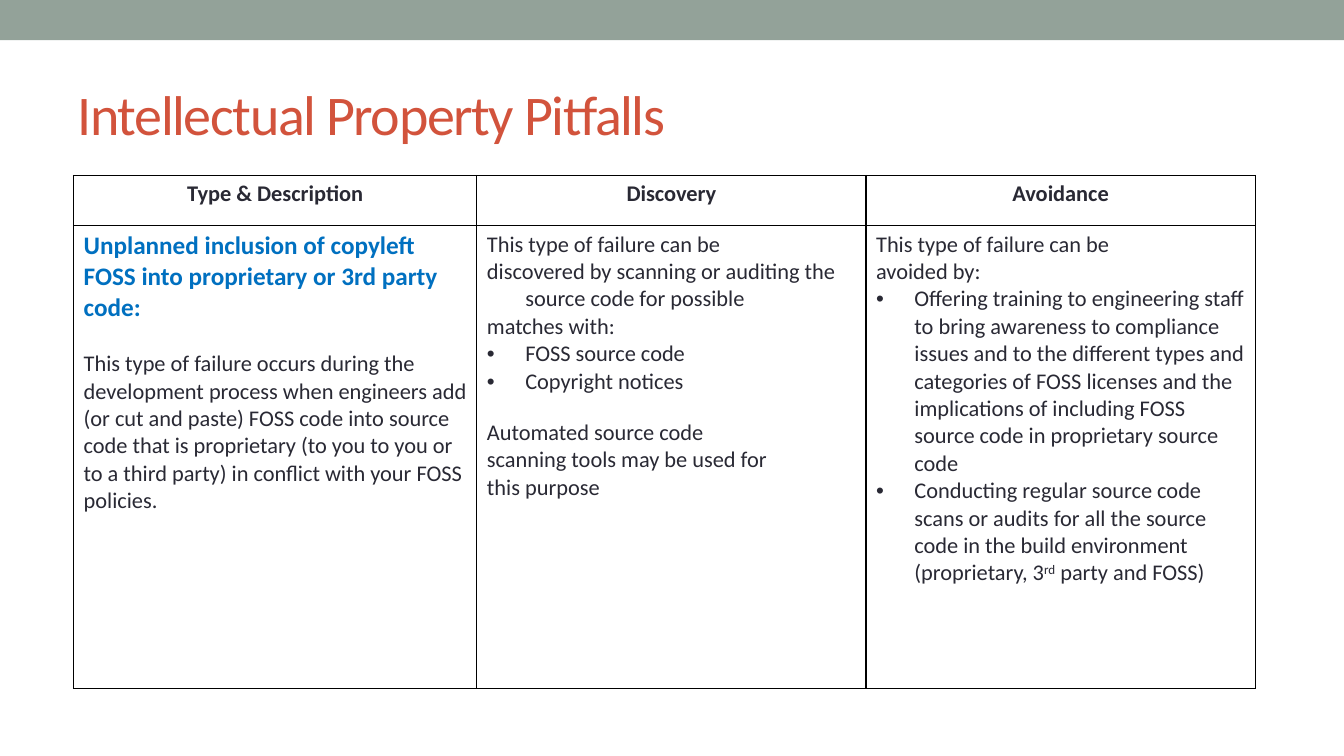
from dataclasses import dataclass

from lxml import etree
from pptx import Presentation
from pptx.dml.color import RGBColor
from pptx.enum.shapes import MSO_SHAPE
from pptx.enum.text import MSO_ANCHOR, PP_ALIGN
from pptx.oxml.ns import qn
from pptx.util import Inches, Pt

RECTANGLE = MSO_SHAPE.RECTANGLE
MIDDLE = MSO_ANCHOR.MIDDLE
LEFT, CENTER = PP_ALIGN.LEFT, PP_ALIGN.CENTER
TITLE_ONLY = 5


@dataclass(frozen=True)
class Theme:
    font: str = "Calibri"
    band: str = "93A299"
    title: str = "D2533C"
    ink: str = "292934"
    accent: str = "0070C0"
    border: str = "000000"
    title_size: int = 40
    lead_size: int = 18
    body_size: int = 16


@dataclass(frozen=True)
class Entry:
    text: str
    lead: bool = False
    bullet: bool = False
    hanging: bool = False
    gap: float = 0


class SlideBuilder:
    def __init__(self, deck, theme):
        self.theme = theme
        self.page = deck.slides.add_slide(deck.slide_layouts[TITLE_ONLY])

    def style(self, span, size, color, bold=False):
        span.font.name = self.theme.font
        span.font.size = Pt(size)
        span.font.bold = bold
        span.font.color.rgb = RGBColor.from_string(color)

    def band(self, left, top, width, height):
        box = self.page.shapes.add_shape(
            RECTANGLE, Inches(left), Inches(top), Inches(width), Inches(height))
        box.shadow.inherit = False
        box.fill.solid()
        box.fill.fore_color.rgb = RGBColor.from_string(self.theme.band)
        box.line.fill.background()

    def title(self, text, left, top, width, height):
        box = self.page.shapes.title
        box.left, box.top = Inches(left), Inches(top)
        box.width, box.height = Inches(width), Inches(height)
        frame = box.text_frame
        frame.text = text
        frame.vertical_anchor = MIDDLE
        para = frame.paragraphs[0]
        para.alignment = LEFT
        span = para.runs[0]
        self.style(span, self.theme.title_size, self.theme.title)
        span.font._element.set("spc", "-100")

    def table(self, left, top, widths, heights, headings, bodies):
        table = self.page.shapes.add_table(
            len(heights), len(widths), Inches(left), Inches(top),
            Inches(sum(widths)), Inches(sum(heights))).table
        table.first_row = table.horz_banding = False
        for column, width in zip(table.columns, widths):
            column.width = Inches(width)
        for row, height in zip(table.rows, heights):
            row.height = Inches(height)
        for index, (heading, entries) in enumerate(zip(headings, bodies)):
            self.heading(table.cell(0, index), heading)
            self.body(table.cell(1, index), entries)
        for cell in table.iter_cells():
            cell.fill.background()
            self.borders(cell)

    def heading(self, cell, text):
        cell.text_frame.text = text
        para = cell.text_frame.paragraphs[0]
        para.alignment = CENTER
        self.style(para.runs[0], self.theme.body_size, self.theme.ink, True)

    def body(self, cell, entries):
        frame = cell.text_frame
        frame.text = "\n".join(entry.text.replace("^", "") for entry in entries)
        for para, entry in zip(frame.paragraphs, entries):
            para.space_before = Pt(entry.gap)
            if "^" in entry.text:
                self.superscript(para, entry.text)
            for span in para.runs:
                if entry.lead:
                    self.style(span, self.theme.lead_size, self.theme.accent, True)
                else:
                    self.style(span, self.theme.body_size, self.theme.ink)
            if entry.bullet or entry.hanging:
                self.indent(para, entry.bullet)

    def superscript(self, para, text):
        before, raised, after = text.split("^")
        para.runs[0].text = before
        span = para.add_run()
        span.text = raised
        span.font._element.set("baseline", "30000")
        para.add_run().text = after

    def indent(self, para, bullet):
        properties = para._p.get_or_add_pPr()
        depth = Inches(0.38)
        properties.set("marL", str(depth))
        properties.set("indent", str(-depth))
        if bullet:
            etree.SubElement(properties, qn("a:buFont"), typeface="Arial")
            etree.SubElement(properties, qn("a:buChar"), char="•")

    def borders(self, cell):
        properties = cell._tc.get_or_add_tcPr()
        for index, side in enumerate(("a:lnL", "a:lnR", "a:lnT", "a:lnB")):
            line = etree.Element(qn(side), w=str(Pt(1)))
            fill = etree.SubElement(line, qn("a:solidFill"))
            etree.SubElement(fill, qn("a:srgbClr"), val=self.theme.border)
            properties.insert(index, line)


HEADINGS = ("Type & Description", "Discovery", "Avoidance")
DESCRIPTION = (
    Entry("Unplanned inclusion of copyleft FOSS into proprietary or 3rd party code:",
          lead=True),
    Entry("This type of failure occurs during the development process when engineers "
          "add (or cut and paste) FOSS code into source code that is proprietary (to "
          "you to you or to a third party) in conflict with your FOSS policies.",
          gap=19.5),
)
DISCOVERY = (
    Entry("This type of failure can be"),
    Entry("discovered by scanning or auditing the source code for possible",
          hanging=True),
    Entry("matches with:"),
    Entry("FOSS source code", bullet=True),
    Entry("Copyright notices", bullet=True),
    Entry("Automated source code", gap=17),
    Entry("scanning tools may be used for"),
    Entry("this purpose"),
)
AVOIDANCE = (
    Entry("This type of failure can be"),
    Entry("avoided by:"),
    Entry("Offering training to engineering staff to bring awareness to compliance "
          "issues and to the different types and categories of FOSS licenses and the "
          "implications of including FOSS source code in proprietary source code",
          bullet=True),
    Entry("Conducting regular source code scans or audits for all the source code in "
          "the build environment (proprietary, 3^rd^ party and FOSS)", bullet=True),
)

deck = Presentation()
deck.slide_width, deck.slide_height = Inches(13.33), Inches(7.5)
builder = SlideBuilder(deck, Theme())
builder.band(0, 0, 13.33, 0.4)
builder.title("Intellectual Property Pitfalls", 0.67, 0.58, 12, 1.08)
builder.table(0.73, 1.74, (4, 3.86, 3.86), (0.5, 4.59), HEADINGS,
              (DESCRIPTION, DISCOVERY, AVOIDANCE))
deck.save("out.pptx")
